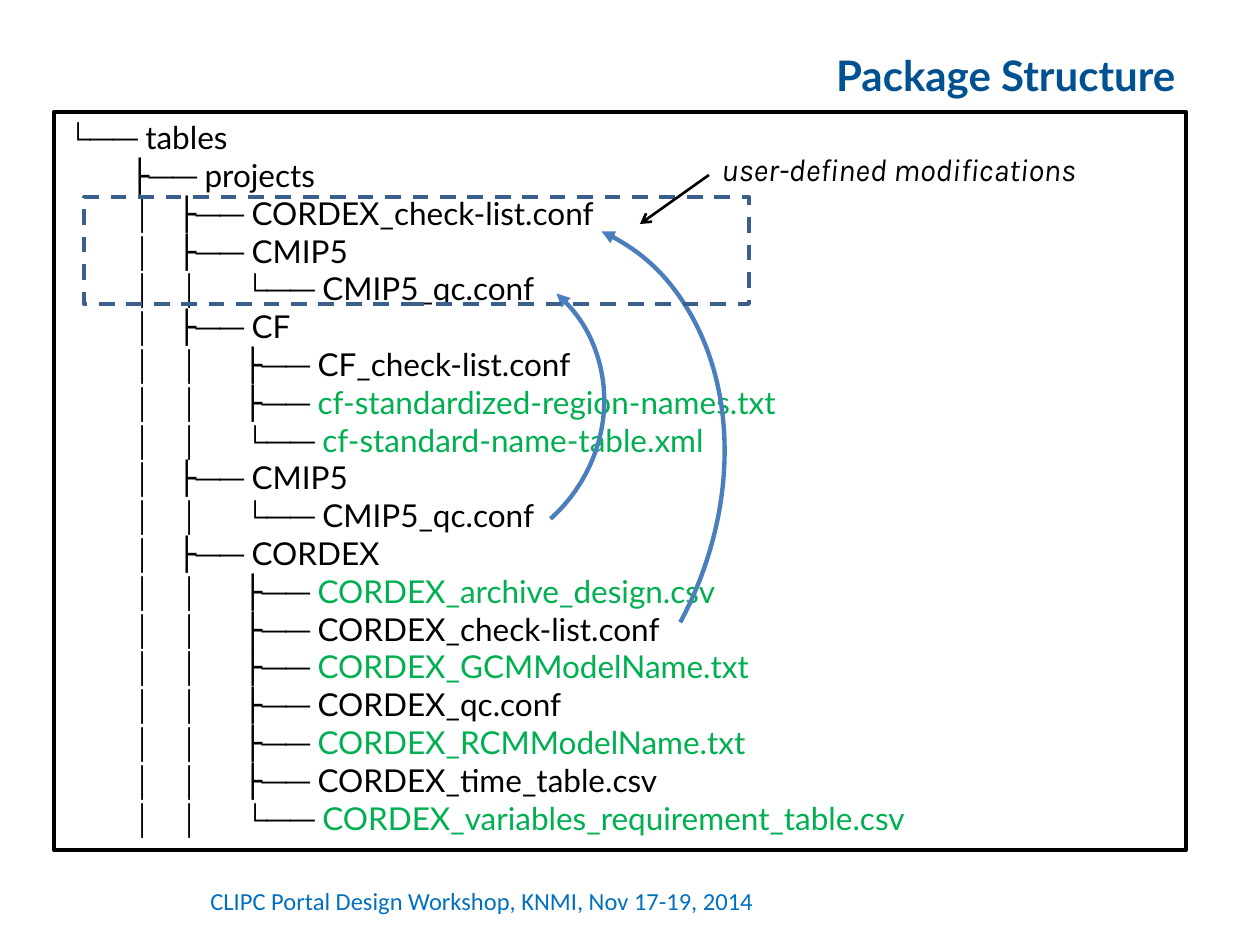
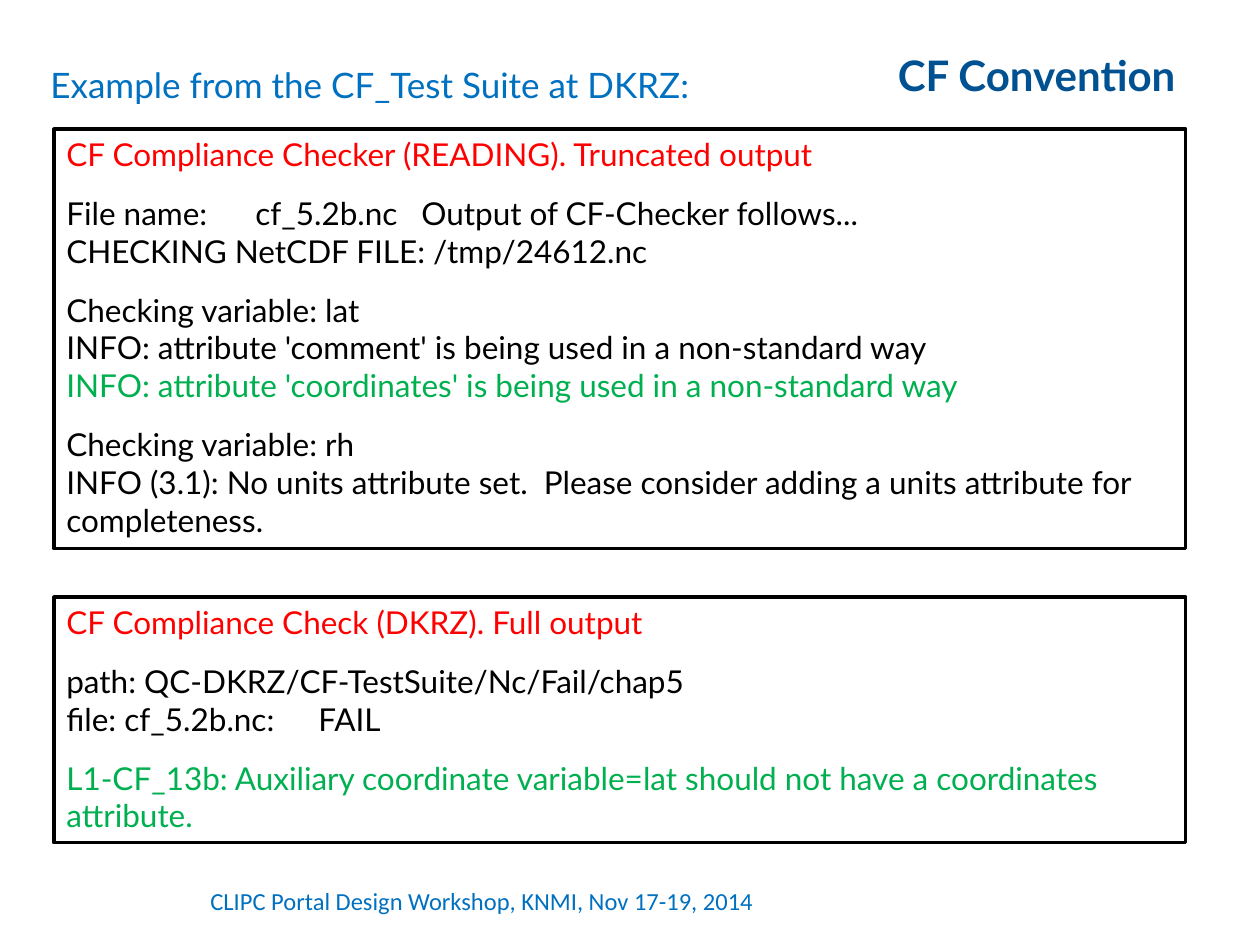
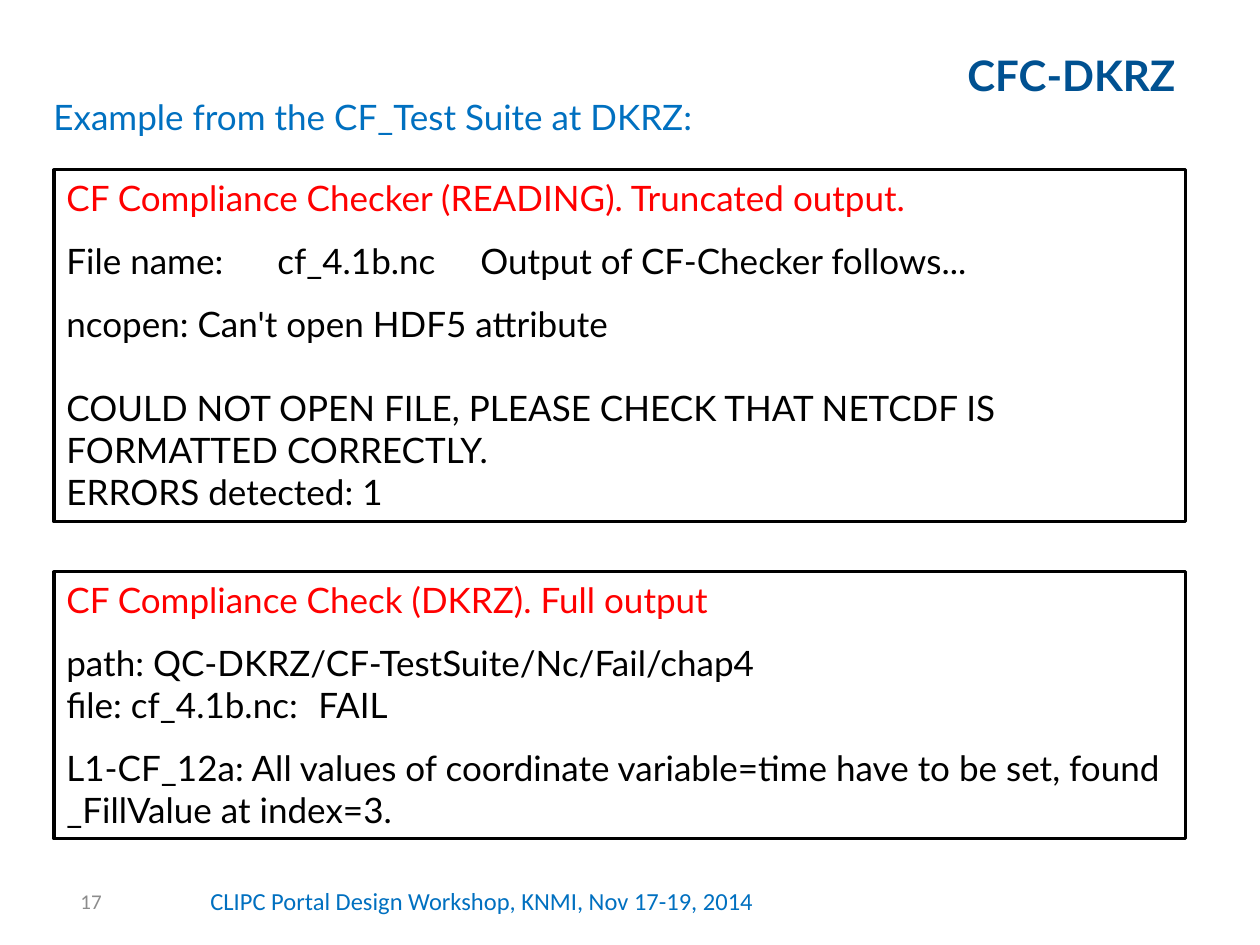
"""Build three slides on the package structure and the CF convention checks."""
from lxml import etree
from pptx import Presentation
from pptx import util as u
from pptx.dml.color import RGBColor
from pptx.enum import dml, shapes, text
from pptx.oxml.ns import qn

PX = 914400 / 126
BLACK = RGBColor(0, 0, 0)
RED = RGBColor(0xFF, 0, 0)
GREEN = RGBColor(0, 0xB0, 0x50)
NAVY = RGBColor(0, 0x51, 0x91)
BLUE = RGBColor(0, 0x70, 0xC0)
GREY = RGBColor(0x8C, 0x8C, 0x8C)
ARC_BLUE = RGBColor(0x4B, 0x7E, 0xBC)
DASH_BLUE = RGBColor(0x3A, 0x5F, 0x8C)

FOOTER = "CLIPC Portal Design Workshop, KNMI, Nov 17-19, 2014"
EXAMPLE = "Example from the CF_Test Suite at DKRZ:"
FRAME_LEFT, FRAME_WIDTH = 54, 1132
TREE_TABS = (64, 111, 177)
FAIL_TAB = (252,)

TREE = [
    (0, "└", "tables", BLACK),
    (1, "├", "projects", BLACK),
    (2, "├", "CORDEX_check-list.conf", BLACK),
    (2, "├", "CMIP5", BLACK),
    (3, "└", "CMIP5_qc.conf", BLACK),
    (2, "├", "CF", BLACK),
    (3, "├", "CF_check-list.conf", BLACK),
    (3, "├", "cf-standardized-region-names.txt", GREEN),
    (3, "└", "cf-standard-name-table.xml", GREEN),
    (2, "├", "CMIP5", BLACK),
    (3, "└", "CMIP5_qc.conf", BLACK),
    (2, "├", "CORDEX", BLACK),
    (3, "├", "CORDEX_archive_design.csv", GREEN),
    (3, "├", "CORDEX_check-list.conf", BLACK),
    (3, "├", "CORDEX_GCMModelName.txt", GREEN),
    (3, "├", "CORDEX_qc.conf", BLACK),
    (3, "├", "CORDEX_RCMModelName.txt", GREEN),
    (3, "├", "CORDEX_time_table.csv", BLACK),
    (3, "└", "CORDEX_variables_requirement_table.csv", GREEN),
]

ARCS = [
    ((309, 255, 291, 309), 43.5, (160.75, 3.12)),
    ((241, 204, 471, 599), 25, (161.81, 3.15)),
]

CHECKS = [
    dict(title="CF Convention ", example=(38, 36), size=18, number=None, frames=[
        (129, 420, [
            ("CF Compliance Checker (READING). Truncated output", dict(color=RED, after=12)),
            ("File name:\tcf_5.2b.nc\tOutput of CF-Checker follows...", dict(tabs=(189, 355))),
            ("CHECKING NetCDF FILE: /tmp/24612.nc", dict(after=12)),
            ("Checking variable: lat", {}),
            ("INFO: attribute 'comment' is being used in a non-standard way", {}),
            ("INFO: attribute 'coordinates' is being used in a non-standard way",
             dict(color=GREEN, after=12)),
            ("Checking variable: rh", {}),
            ("INFO (3.1): No units attribute set.  Please consider adding a units "
             "attribute for completeness.", {}),
        ]),
        (597, 246, [
            ("CF Compliance Check (DKRZ). Full output", dict(color=RED, after=12)),
            ("path: QC-DKRZ/CF-TestSuite/Nc/Fail/chap5", {}),
            ("file: cf_5.2b.nc:\tFAIL", dict(tabs=FAIL_TAB, after=12)),
            ("L1-CF_13b: Auxiliary coordinate variable=lat should not have a "
             "coordinates attribute.", dict(color=GREEN)),
        ]),
    ]),
    dict(title="CFC-DKRZ ", example=(41, 68), size=20, number="17", frames=[
        (170, 352, [
            ("CF Compliance Checker (READING). Truncated output.", dict(color=RED, after=12)),
            ("File name:\tcf_4.1b.nc\tOutput of CF-Checker follows...",
             dict(tabs=(211, 414), after=12)),
            ("ncopen: Can't open HDF5 attribute", dict(after=24)),
            ("COULD NOT OPEN FILE, PLEASE CHECK THAT NETCDF IS FORMATTED CORRECTLY.", {}),
            ("ERRORS detected: 1", {}),
        ]),
        (572, 267, [
            ("CF Compliance Check (DKRZ). Full output", dict(color=RED, after=12)),
            ("path: QC-DKRZ/CF-TestSuite/Nc/Fail/chap4", {}),
            ("file: cf_4.1b.nc:\tFAIL", dict(tabs=FAIL_TAB, after=12)),
            ("L1-CF_12a: All values of coordinate variable=time have to be set, found "
             "_FillValue at index=3.", dict(after=12)),
        ]),
    ]),
]


def emu(*lengths):
    return [u.Emu(round(length * PX)) for length in lengths]


def add_span(para, words, size=18, font="Lato", color=BLACK, bold=False, italic=False):
    span = para.add_run()
    span.text = words
    span.font.size = u.Pt(size)
    span.font.name = font
    span.font.color.rgb = color
    span.font.bold = bold
    span.font.italic = italic


def write(box, words, align=text.PP_ALIGN.LEFT, after=0, spacing=None, tabs=(), **style):
    """Add one paragraph to a box, filling the empty first one, and return it."""
    frame = box.text_frame
    para = frame.paragraphs[0] if not frame.paragraphs[0].runs else frame.add_paragraph()
    para.alignment = align
    para.space_after = u.Pt(after)
    if spacing:
        para.line_spacing = spacing
    if tabs:
        stops = etree.SubElement(para._p.get_or_add_pPr(), qn("a:tabLst"))
        for stop in emu(*tabs):
            etree.SubElement(stops, qn("a:tab"), pos=str(stop), algn="l")
    add_span(para, words, **style)
    return para


def add_text(page, area, words, anchor=text.MSO_ANCHOR.MIDDLE, **style):
    box = page.shapes.add_textbox(*emu(*area))
    box.text_frame.word_wrap = True
    box.text_frame.vertical_anchor = anchor
    write(box, words, **style)


def add_outline(page, kind, area, color, width):
    box = page.shapes.add_shape(kind, *emu(*area))
    box.shadow.inherit = False
    box.fill.background()
    box.line.color.rgb = color
    box.line.width = u.Pt(width)
    box.text_frame.word_wrap = True
    box.text_frame.vertical_anchor = text.MSO_ANCHOR.TOP
    return box


def add_arrowhead(line, end, kind):
    etree.SubElement(line.line._get_or_add_ln(), qn(f"a:{end}"), type=kind)


def add_page(deck, title, number=None):
    page = deck.slides.add_slide(deck.slide_layouts[6])
    add_text(page, (64, 46, 1134, 58), title, align=text.PP_ALIGN.RIGHT,
             size=24, color=NAVY, bold=True)
    if number:
        add_text(page, (68, 876, 120, 50), number, size=12, font="Calibri", color=GREY)
    add_text(page, (198, 876, 745, 50), FOOTER, size=14, font="Calibri", color=BLUE)
    return page


def add_structure(deck):
    page = add_page(deck, "Package Structure ")
    rectangle = shapes.MSO_SHAPE.RECTANGLE
    frame = add_outline(page, rectangle, (FRAME_LEFT, 112, FRAME_WIDTH, 738), BLACK, 2.5)
    for depth, branch, name, color in TREE:
        prefix = "\t│" * (depth - 1) + "\t" * (depth > 0) + branch + "── "
        para = write(frame, prefix, tabs=TREE_TABS)
        add_span(para, name, color=color)

    for area, turn, ends in ARCS:
        arc = add_outline(page, shapes.MSO_SHAPE.ARC, area, ARC_BLUE, 2.5)
        arc.rotation = turn
        for index, end in enumerate(ends):
            arc.adjustments[index] = end
        add_arrowhead(arc, "headEnd", "triangle")

    changes = add_outline(page, rectangle, (84, 197, 665, 107), DASH_BLUE, 2.25)
    changes.line.dash_style = dml.MSO_LINE.DASH
    pointer = page.shapes.add_connector(shapes.MSO_CONNECTOR.STRAIGHT, *emu(709, 175, 640, 224))
    pointer.line.color.rgb = BLACK
    pointer.line.width = u.Pt(1.5)
    add_arrowhead(pointer, "tailEnd", "arrow")
    etree.SubElement(pointer._element.spPr, qn("a:effectLst"))
    add_text(page, (709, 125, 456, 71), "user-defined modifications",
             anchor=text.MSO_ANCHOR.TOP, spacing=1.5, font="Karla", italic=True)


def add_check(deck, check):
    page = add_page(deck, check["title"], check["number"])
    add_text(page, (*check["example"], 774, 77), EXAMPLE, anchor=text.MSO_ANCHOR.TOP,
             spacing=1.5, size=20, color=BLUE)
    for top, height, lines in check["frames"]:
        frame = add_outline(page, shapes.MSO_SHAPE.RECTANGLE,
                            (FRAME_LEFT, top, FRAME_WIDTH, height), BLACK, 1.75)
        for words, style in lines:
            write(frame, words, size=check["size"], **style)


def main():
    deck = Presentation()
    deck.slide_width, deck.slide_height = emu(1260, 945)
    add_structure(deck)
    for check in CHECKS:
        add_check(deck, check)
    deck.save("out.pptx")


if __name__ == "__main__":
    main()
